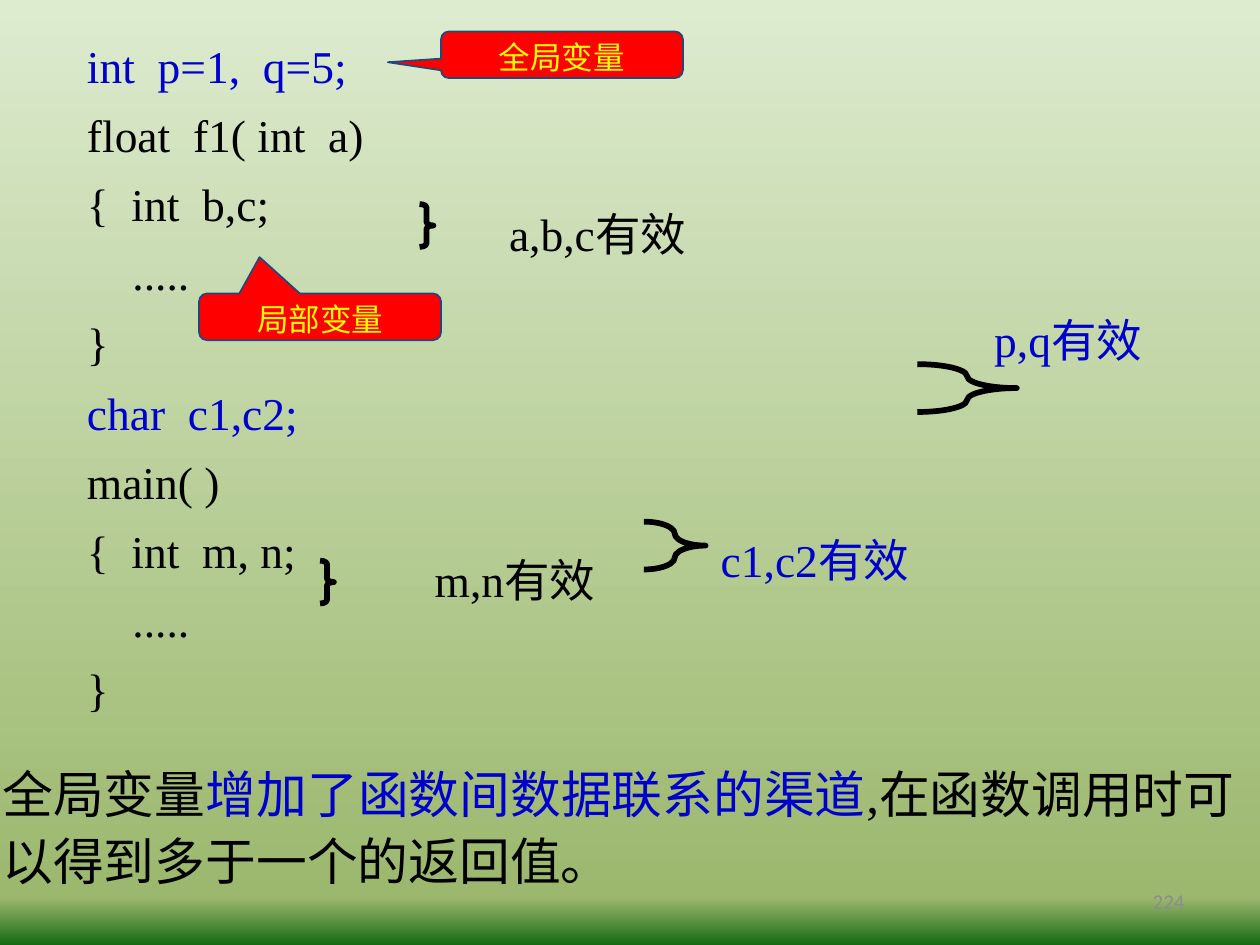
from copy import deepcopy
from dataclasses import dataclass

from lxml.etree import SubElement
from pptx import Presentation
from pptx.dml.color import RGBColor
from pptx.enum.shapes import MSO_SHAPE as Preset
from pptx.enum.text import MSO_ANCHOR as Anchor, MSO_AUTO_SIZE as AutoSize, PP_ALIGN as Align
from pptx.oxml.ns import qn
from pptx.util import Inches, Pt


@dataclass(frozen=True)
class Theme:
    """Colours, fonts and type sizes of the slide."""
    black: RGBColor = RGBColor(0, 0, 0)
    blue: RGBColor = RGBColor(0, 0, 0xCC)
    red: RGBColor = RGBColor(0xFF, 0, 0)
    yellow: RGBColor = RGBColor(0xFF, 0xFF, 0)
    outline: RGBColor = RGBColor(0x1F, 0x49, 0x7D)
    gray: RGBColor = RGBColor(0x8C, 0x8C, 0x8C)
    background: tuple = ((0, "DDEBCF"), (0.95, "9CB86E"), (1, "156B13"))
    serif: str = "Times New Roman"
    sans: str = "Calibri"
    code_size: int = 26
    summary_size: int = 29
    callout_size: int = 18
    number_size: int = 12


def write(frame, lines, font, size, before, margins=(0.02, 0.01), align=Align.LEFT):
    """Fill a frame with lines, each a list of (text, colour) runs."""
    frame.word_wrap = True
    frame.auto_size = AutoSize.SHAPE_TO_FIT_TEXT
    frame.margin_left = frame.margin_right = Inches(margins[0])
    frame.margin_top = frame.margin_bottom = Inches(margins[1])
    frame.vertical_anchor = Anchor.TOP
    for index, runs in enumerate(lines):
        paragraph = frame.add_paragraph() if index else frame.paragraphs[0]
        paragraph.alignment = align
        paragraph.line_spacing = 1.1
        paragraph.font.name, paragraph.font.size = font, Pt(size)
        paragraph.font.color.rgb = runs[0][1]
        # Spacing before as a percentage of the line
        spacing = SubElement(paragraph._p.get_or_add_pPr(), qn("a:spcBef"))
        SubElement(spacing, qn("a:spcPct")).set("val", str(before * 1000))
        paragraph._p.pPr.find(qn("a:lnSpc")).addnext(spacing)
        for text, colour in runs:
            run = paragraph.add_run()
            run.text = text
            if len(runs) > 1:
                run.font.color.rgb = colour


def add_preset(preset, box, adjustments, line_colour, line_width):
    """Add an adjusted, outlined preset shape without shadow."""
    shape = slide.shapes.add_shape(preset, *map(Inches, box))
    shape.shadow.inherit = False
    for index, value in enumerate(adjustments):
        shape.adjustments[index] = value
    shape.line.color.rgb = line_colour
    shape.line.width = Pt(line_width)
    return shape


theme = Theme()
deck = Presentation()
deck.slide_width, deck.slide_height = Inches(10), Inches(7.5)
slide = deck.slides.add_slide(deck.slide_layouts[6])

# Background gradient
background = slide.background.fill
background.gradient()
background.gradient_angle = 270
stop_list = slide._element.find(".//" + qn("a:gsLst"))
stop_list.append(deepcopy(stop_list[-1]))
for stop, (position, colour) in zip(background.gradient_stops, theme.background):
    stop.position = position
    stop.color.rgb = RGBColor.from_string(colour)

# Program listing: each block opens with a global declaration
code_blocks = [
    (0.25, 3.25, ["int  p=1,  q=5;", "float  f1( int  a)", "{  int  b,c;", "    .....", "}"]),
    (3, 2.66, ["char  c1,c2;", "main( )", "{  int  m, n;", "    .....", "}"]),
]
for top, width, code in code_blocks:
    listing = slide.shapes.add_textbox(Inches(0.67), Inches(top), Inches(width), Inches(2.78))
    lines = [[(text, theme.black if index else theme.blue)] for index, text in enumerate(code)]
    write(listing.text_frame, lines, theme.serif, theme.code_size, 20)

# Scopes: brace box, brace curvature, label position and width
scopes = [
    ((7.28, 2.89, 0.79, 0.38), 0.65, "p,q有效", (7.87, 2.42, 1.38), theme.blue),
    ((3.33, 1.62, 0.11, 0.34), 0.25, "a,b,c有效", (4.02, 1.58, 2.07), theme.black),
    ((2.54, 4.45, 0.11, 0.34), 0.25, "m,n有效", (3.43, 4.33, 1.58), theme.black),
    ((5.11, 4.14, 0.49, 0.38), 0.47, "c1,c2有效", (5.7, 4.17, 1.68), theme.blue),
]
for brace_box, curvature, text, place, colour in scopes:
    brace = add_preset(Preset.RIGHT_BRACE, brace_box, (curvature, 0.5), theme.black, 3.25)
    brace.fill.background()
    label = slide.shapes.add_textbox(*map(Inches, place), Inches(0.5))
    write(label.text_frame, [[(text, colour)]], theme.serif, theme.code_size, 50)

# Callouts: position and pointer tip
for text, left, top, tip in [
    ("全局变量", 3.5, 0.25, (-0.72, 0.16)),
    ("局部变量", 1.58, 2.33, (-0.25, -1.28)),
]:
    callout = add_preset(Preset.ROUNDED_RECTANGULAR_CALLOUT, (left, top, 1.92, 0.37),
                         (*tip, 0.17), theme.outline, 1)
    callout.fill.solid()
    callout.fill.fore_color.rgb = theme.red
    write(callout.text_frame, [[(text, theme.yellow)]], theme.sans, theme.callout_size, 10,
          margins=(0, 0), align=Align.CENTER)

# Summary
summary = slide.shapes.add_textbox(0, Inches(6), Inches(10), Inches(1.1))
write(summary.text_frame, [[
    ("全局变量", theme.black),
    ("增加了函数间数据联系的渠道", theme.blue),
    (",在函数调用时可以得到多于一个的返回值。".replace(",", ","), theme.black),
]], theme.serif, theme.summary_size, 50)

# Slide number
number = slide.shapes.add_textbox(Inches(7.17), Inches(6.95), Inches(2.33), Inches(0.4))
number.text_frame.word_wrap = True
number.text_frame.vertical_anchor = Anchor.MIDDLE
number_line = number.text_frame.paragraphs[0]
number_line.text = "224"
number_line.alignment = Align.RIGHT
number_line.font.name, number_line.font.size = theme.sans, Pt(theme.number_size)
number_line.font.color.rgb = theme.gray

deck.save("out.pptx")
